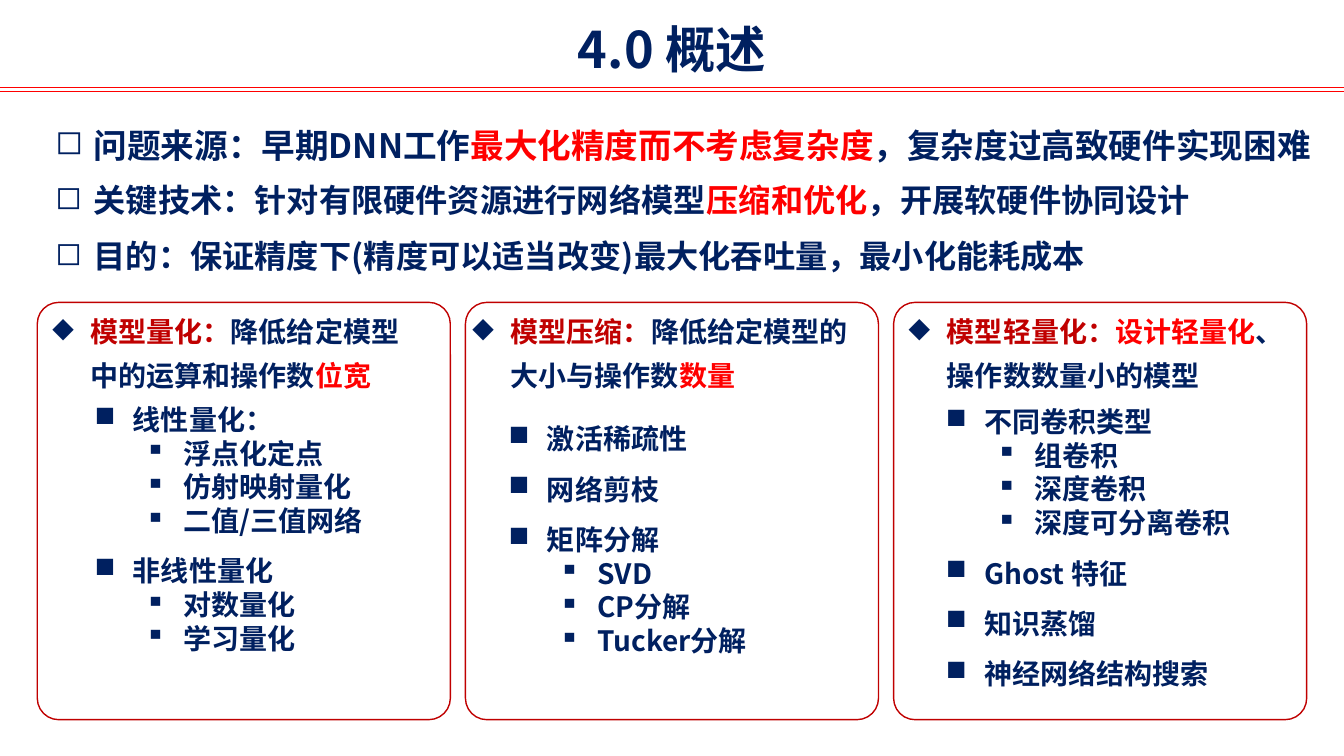
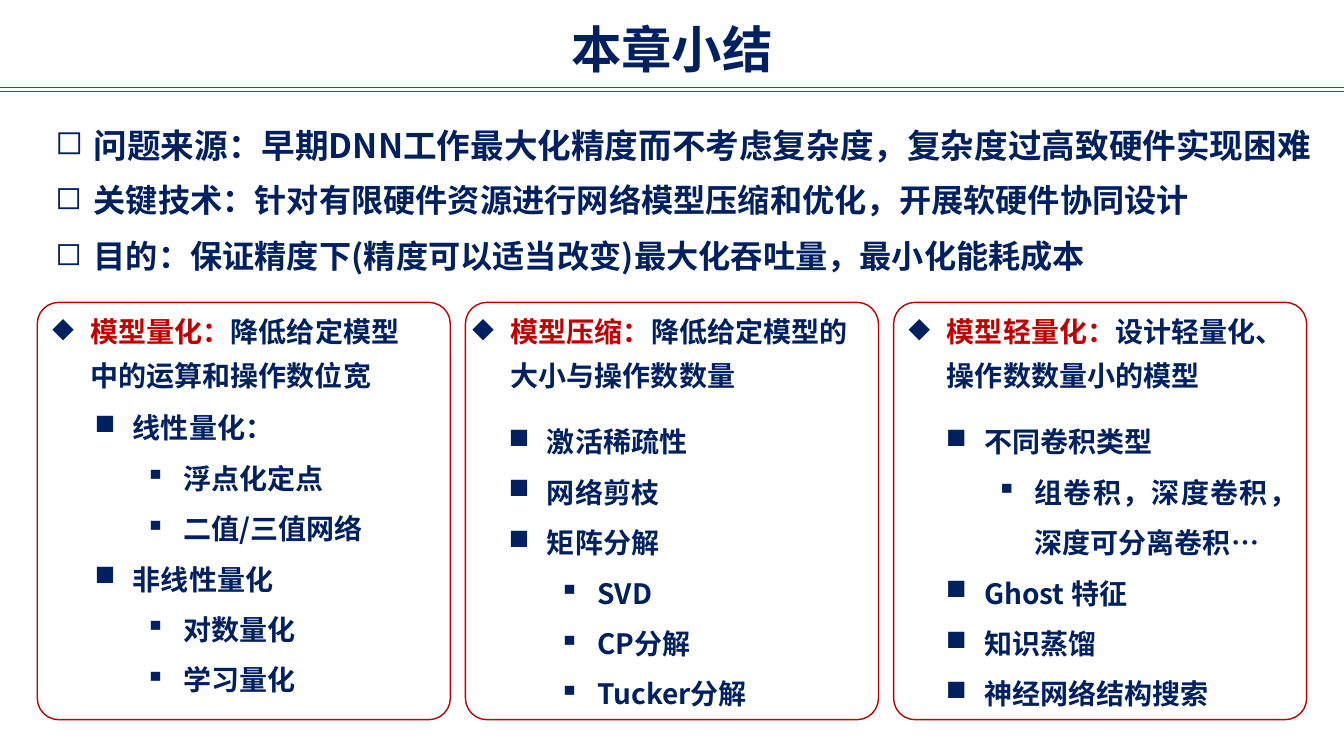
from lxml import etree
from pptx import Presentation, util as u
from pptx.dml.color import RGBColor
from pptx.enum import shapes, text
from pptx.oxml.ns import qn

COLORS = {"navy": "002060", "dark_red": "C00000", "red": "FF0000"}
FONT = "Noto Sans CJK SC"
SLIDE_W, SLIDE_H = 13.33, 7.5

# Card grid: three equal columns between the side margins
MARGIN, GAP = 0.37, 0.15
CARD_W = (SLIDE_W - 2 * MARGIN - 2 * GAP) / 3
CARD_TOP, CARD_H = 3.0, 4.14

# Text offsets from the left edge of each card
HEADING_TOP = 2.97
HEADING_OFFSETS = (-0.16, -0.24, -0.16)
HEADING_WIDTHS = (4.02, 4.25, 4.25)
TOPIC_OFFSETS = (0.47, 0.33, 0.42)
TOPIC_WIDTHS = (4.49, 4.49, 3.68)

POINT_LEFT, POINT_TOP, POINT_PITCH = 0.45, 1.07, 0.555
POINT_SIZES = (24, 23, 23)
HANG = 0.38

MATRIX = ("矩阵分解", ["SVD", "CP分解", "Tucker分解"])
LIGHT_METHODS = [("Ghost 特征", []), ("知识蒸馏", []), ("神经网络结构搜索", [])]
PURPOSE = [("目的：保证精度下(精度可以适当改变)最大化吞吐量，最小化能耗成本", "navy")]

OVERVIEW = {
    "title": "4.0 概述",
    "points": [
        [("问题来源：早期DNN工作", "navy"), ("最大化精度而不考虑复杂度", "red"),
         ("，复杂度过高致硬件实现困难", "navy")],
        [("关键技术：针对有限硬件资源进行网络模型", "navy"), ("压缩和优化", "red"),
         ("，开展软硬件协同设计", "navy")],
        PURPOSE,
    ],
    "headings": [
        [("模型量化：", "dark_red"), ("降低给定模型中的运算和操作数", "navy"), ("位宽", "red")],
        [("模型压缩：", "dark_red"), ("降低给定模型的大小与操作数", "navy"), ("数量", "red")],
        [("模型轻量化：", "dark_red"), ("设计轻量化", "red"), ("、操作数数量小的模型", "navy")],
    ],
    "topics": [
        [("线性量化：", ["浮点化定点", "仿射映射量化", "二值/三值网络"]),
         ("非线性量化", ["对数量化", "学习量化"])],
        [("激活稀疏性", []), ("网络剪枝", []), MATRIX],
        [("不同卷积类型", ["组卷积", "深度卷积", "深度可分离卷积"]), *LIGHT_METHODS],
    ],
    "topic_tops": (3.78, 3.97, 3.8),
    "detail_spacing": 1.0,
}

SUMMARY = {
    "title": "本章小结",
    "points": [
        [("问题来源：早期DNN工作最大化精度而不考虑复杂度，复杂度过高致硬件实现困难", "navy")],
        [("关键技术：针对有限硬件资源进行网络模型压缩和优化，开展软硬件协同设计", "navy")],
        PURPOSE,
    ],
    "headings": [
        [("模型量化：", "dark_red"), ("降低给定模型中的运算和操作数位宽", "navy")],
        [("模型压缩：", "dark_red"), ("降低给定模型的大小与操作数数量", "navy")],
        [("模型轻量化：", "dark_red"), ("设计轻量化、操作数数量小的模型", "navy")],
    ],
    "topics": [
        [("线性量化：", ["浮点化定点", "二值/三值网络"]),
         ("非线性量化", ["对数量化", "学习量化"])],
        [("激活稀疏性", []), ("网络剪枝", []), MATRIX],
        [("不同卷积类型", ["组卷积，深度卷积，深度可分离卷积…"]), *LIGHT_METHODS],
    ],
    "topic_tops": (3.86, 4.0, 4.0),
    "detail_spacing": 1.5,
}


def rgb(name):
    return RGBColor.from_string(COLORS[name])


def column_left(column):
    return MARGIN + column * (CARD_W + GAP)


def add_frame(slide, left, top, width, height):
    box = slide.shapes.add_textbox(*map(u.Inches, (left, top, width, height)))
    box.text_frame.word_wrap = True
    return box.text_frame


def add_runs(paragraph, parts, size):
    for words, color in parts:
        run = paragraph.add_run()
        run.text = words
        font = run.font
        font.name, font.size, font.bold = FONT, u.Pt(size), True
        font.color.rgb = rgb(color)
        latin = font._element.find(qn("a:latin"))
        east_asian = etree.Element(qn("a:ea"), typeface=FONT)
        latin.addnext(east_asian)


def set_bullet(paragraph, mark, indent, spacing):
    """Hang a navy bullet in front of text that starts at the indent."""
    properties = paragraph._p.get_or_add_pPr()
    properties.set("marL", str(u.Inches(indent)))
    properties.set("indent", str(-u.Inches(HANG)))
    color = etree.SubElement(properties, qn("a:buClr"))
    etree.SubElement(color, qn("a:srgbClr"), val=COLORS["navy"])
    etree.SubElement(properties, qn("a:buChar"), char=mark)
    paragraph.line_spacing = spacing


def add_title(slide, title):
    paragraph = add_frame(slide, 0, 0.13, SLIDE_W, 0.71).paragraphs[0]
    paragraph.alignment = text.PP_ALIGN.CENTER
    add_runs(paragraph, [(title, "navy")], 36)


def add_double_rule(slide):
    for y in (0.87, 0.91):
        rule = slide.shapes.add_connector(
            shapes.MSO_CONNECTOR.STRAIGHT, 0, u.Inches(y), u.Inches(SLIDE_W), u.Inches(y))
        rule.line.color.rgb = rgb("red")
        rule.line.width = u.Pt(0.75)
        etree.SubElement(rule._element.spPr, qn("a:effectLst"))


def add_points(slide, points):
    for row, (parts, size) in enumerate(zip(points, POINT_SIZES)):
        top = POINT_TOP + row * POINT_PITCH
        paragraph = add_frame(slide, POINT_LEFT, top, 12.89, 0.67).paragraphs[0]
        set_bullet(paragraph, "◻", HANG, 1.3)
        add_runs(paragraph, parts, size)


def add_card(slide, column):
    card = slide.shapes.add_shape(
        shapes.MSO_SHAPE.ROUNDED_RECTANGLE,
        *map(u.Inches, (column_left(column), CARD_TOP, CARD_W, CARD_H)))
    card.adjustments[0] = 0.052
    card.shadow.inherit = False
    card.fill.background()
    card.line.color.rgb = rgb("dark_red")
    card.line.width = u.Pt(1)


def add_heading(slide, column, parts):
    left = column_left(column) + HEADING_OFFSETS[column]
    frame = add_frame(slide, left, HEADING_TOP, HEADING_WIDTHS[column], 0.97)
    set_bullet(frame.paragraphs[0], "◆", 0.59, 1.3)
    add_runs(frame.paragraphs[0], parts, 20)


def add_topics(slide, column, top, topics, detail_spacing):
    """List each topic with its details one level below."""
    left = column_left(column) + TOPIC_OFFSETS[column]
    frame = add_frame(slide, left, top, TOPIC_WIDTHS[column], CARD_TOP + CARD_H - top)
    entries = []
    for topic, details in topics:
        entries.append((topic, 0))
        entries.extend((detail, 1) for detail in details)
    for index, (words, level) in enumerate(entries):
        paragraph = frame.add_paragraph() if index else frame.paragraphs[0]
        paragraph.level = level
        paragraph.alignment = text.PP_ALIGN.JUSTIFY
        set_bullet(paragraph, "■▪"[level], HANG + level * 0.5,
                   detail_spacing if level else 1.5)
        add_runs(paragraph, [(words, "navy")], 20)


def add_content_slide(deck, content):
    slide = deck.slides.add_slide(deck.slide_layouts[6])
    add_double_rule(slide)
    add_title(slide, content["title"])
    add_points(slide, content["points"])
    for column, heading in enumerate(content["headings"]):
        add_card(slide, column)
        add_heading(slide, column, heading)
        add_topics(slide, column, content["topic_tops"][column],
                   content["topics"][column], content["detail_spacing"])


def main():
    deck = Presentation()
    deck.slide_width, deck.slide_height = u.Inches(SLIDE_W), u.Inches(SLIDE_H)
    for content in (OVERVIEW, SUMMARY):
        add_content_slide(deck, content)
    deck.save("out.pptx")


if __name__ == "__main__":
    main()
